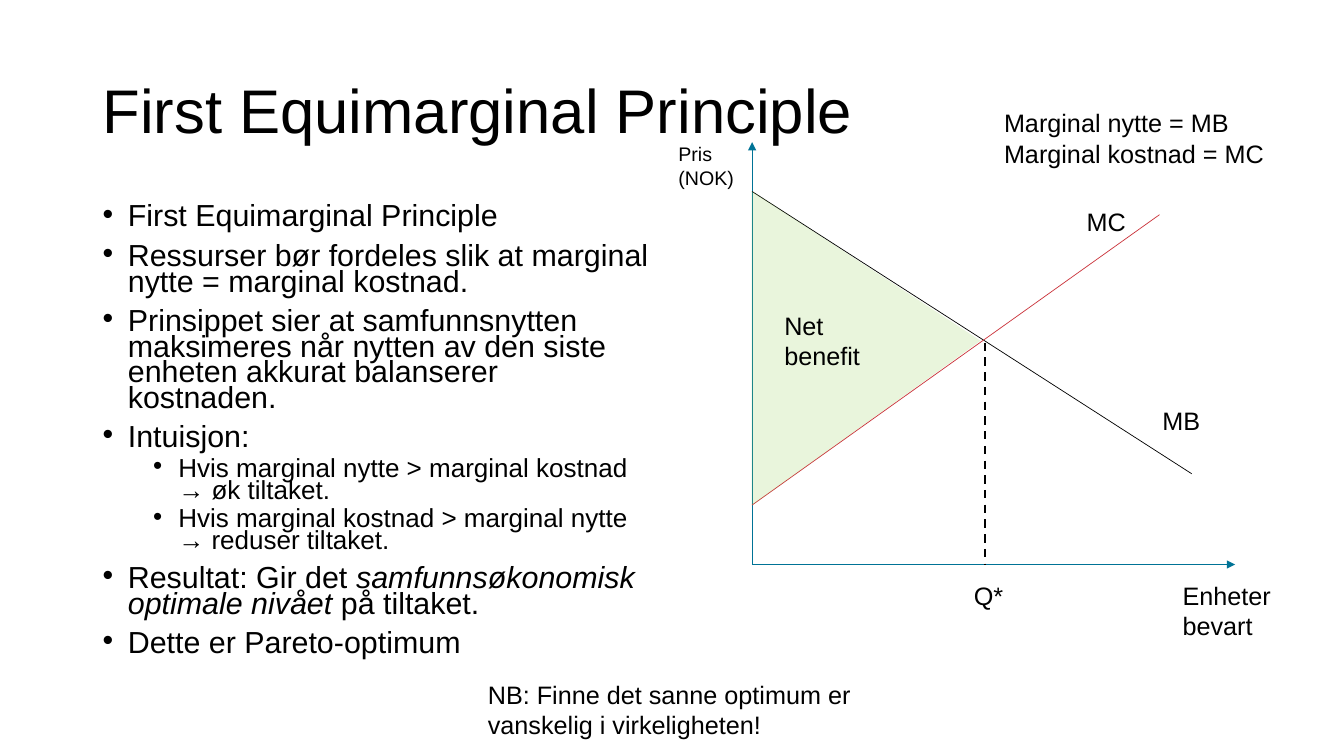
import pptx
import pptx.dml.color
import pptx.enum.dml
import pptx.enum.shapes
import pptx.enum.text
import pptx.oxml
import pptx.oxml.ns
import pptx.util
from dataclasses import dataclass

Inches = pptx.util.Inches
Pt = pptx.util.Pt
TRIANGLE = pptx.enum.shapes.MSO_SHAPE.ISOSCELES_TRIANGLE
STRAIGHT = pptx.enum.shapes.MSO_CONNECTOR.STRAIGHT
MIDDLE = pptx.enum.text.MSO_ANCHOR.MIDDLE
DASH = pptx.enum.dml.MSO_LINE.DASH


@dataclass
class Theme:
    font: str = "Arial"
    ink: str = "000000"
    axis: str = "007396"
    cost: str = "CB333B"
    gain: str = "92D050"
    title: float = 44
    body: float = 21.7
    sub: float = 18.6
    label: float = 18
    small: float = 14
    thin: float = 0.5
    thick: float = 1.5


def paint(code):
    return pptx.dml.color.RGBColor.from_string(code)


def apply(item, style):
    for name, value in style.items():
        setattr(item, name, value)


def attach(parent, tag, **attrs):
    node = pptx.oxml.parse_xml(f"<a:{tag} {pptx.oxml.ns.nsdecls('a')}/>")
    for name, value in attrs.items():
        node.set(name, str(value))
    parent.append(node)


class Board:
    def __init__(self, slide, theme):
        self.slide, self.theme = slide, theme

    def frame(self, left, top, width, height, **style):
        box = self.slide.shapes.add_textbox(*map(Inches, (left, top, width, height)))
        apply(box.text_frame, {"word_wrap": True, **style})
        return box.text_frame

    def run(self, para, text, size, italic=None):
        run = para.add_run()
        run.text = text
        apply(run.font, {"name": self.theme.font, "size": Pt(size), "italic": italic})
        run.font.color.rgb = paint(self.theme.ink)

    def label(self, place, text, size=None):
        para = self.frame(*place).paragraphs[0]
        for count, line in enumerate(text.split("\n")):
            if count:
                para.add_line_break()
            self.run(para, line, size or self.theme.label)

    def title(self, place, text):
        para = self.frame(*place, vertical_anchor=MIDDLE).paragraphs[0]
        para.line_spacing = 0.9
        self.run(para, text, self.theme.title)

    def bullets(self, place, items):
        frame = self.frame(*place)
        for count, (level, parts) in enumerate(items):
            para = frame.add_paragraph() if count else frame.paragraphs[0]
            gap, size = (5, self.theme.sub) if level else (10, self.theme.body)
            apply(para, {"level": level, "line_spacing": 0.7, "space_before": Pt(gap)})
            props = para._p.get_or_add_pPr()
            props.set("marL", str(Inches(0.25 + 0.5 * level)))
            props.set("indent", str(Inches(-0.25)))
            attach(props, "buFont", typeface=self.theme.font)
            attach(props, "buChar", char="•")
            # Every second part is in italics
            for order, part in enumerate(parts):
                self.run(para, part, size, order % 2 == 1)

    def line(self, start, end, color, width=None, dash=None, arrow=False):
        link = self.slide.shapes.add_connector(STRAIGHT, *map(Inches, start + end))
        link.line.color.rgb = paint(color)
        apply(link.line, {"width": Pt(width or self.theme.thin), "dash_style": dash})
        if arrow:
            attach(link.line._get_or_add_ln(), "tailEnd", type="triangle")
        attach(link._element.spPr, "effectLst")

    def wedge(self, place, peak, color, alpha):
        shape = self.slide.shapes.add_shape(TRIANGLE, *map(Inches, place))
        shape.adjustments[0] = peak
        shape.rotation = 90
        shape.shadow.inherit = False
        shape.fill.solid()
        shape.fill.fore_color.rgb = paint(color)
        shape.line.fill.background()
        tint = shape._element.spPr.find(".//" + pptx.oxml.ns.qn("a:srgbClr"))
        attach(tint, "alpha", val=alpha * 1000)


POINTS = [
    (0, ["First Equimarginal Principle"]),
    (0, ["Ressurser bør fordeles slik at marginal nytte = marginal kostnad."]),
    (0, ["Prinsippet sier at samfunnsnytten maksimeres når nytten av den siste "
         "enheten akkurat balanserer kostnaden."]),
    (0, ["Intuisjon:"]),
    (1, ["Hvis marginal nytte > marginal kostnad → øk tiltaket."]),
    (1, ["Hvis marginal kostnad > marginal nytte → reduser tiltaket."]),
    (0, ["Resultat: Gir det ", "samfunnsøkonomisk optimale nivået", " på tiltaket."]),
    (0, ["Dette er Pareto-optimum"]),
]

LABELS = [
    ((9.86, 1.02, 3.09, 0.71), "Marginal nytte = MB\nMarginal kostnad = MC"),
    ((11.63, 5.71, 1.31, 0.71), "Enheter bevart"),
    ((10.68, 2, 0.82, 0.4), "MC"),
    ((9.56, 5.71, 0.62, 0.4), "Q*"),
    ((11.43, 3.97, 0.82, 0.4), "MB"),
    ((7.68, 3.03, 1.21, 0.71), "Net benefit"),
    ((4.74, 6.69, 3.85, 0.71), "NB: Finne det sanne optimum er vanskelig i virkeligheten!"),
]


def main():
    deck = pptx.Presentation()
    apply(deck, {"slide_width": Inches(13.33), "slide_height": Inches(7.5)})
    theme = Theme()
    board = Board(deck.slides.add_slide(deck.slide_layouts[6]), theme)

    # Title and bullet list
    board.title((0.92, 0.4, 11.5, 1.45), "First Equimarginal Principle")
    board.bullets((0.92, 2, 5.67, 4.76), POINTS)

    # Axes
    left, base, best = 7.46, 5.6, 9.77
    for tip in ((left, 1.41), (12.25, base)):
        board.line((left, base), tip, theme.axis, arrow=True)

    # Benefit and cost curves, with the optimum
    board.line((left, 1.9), (11.82, 4.7), theme.ink)
    board.line((left, 5.01), (11.5, 2.13), theme.cost)
    board.line((best, 3.4), (best, base), theme.ink, theme.thick, DASH)

    # Net benefit area
    board.wedge((7.03, 2.32, 3.12, 2.27), 0.476, theme.gain, 20)

    # Labels
    board.label((6.63, 1.36, 0.97, 0.57), "Pris\n(NOK)", theme.small)
    for place, text in LABELS:
        board.label(place, text)

    deck.save("out.pptx")


if __name__ == "__main__":
    main()
